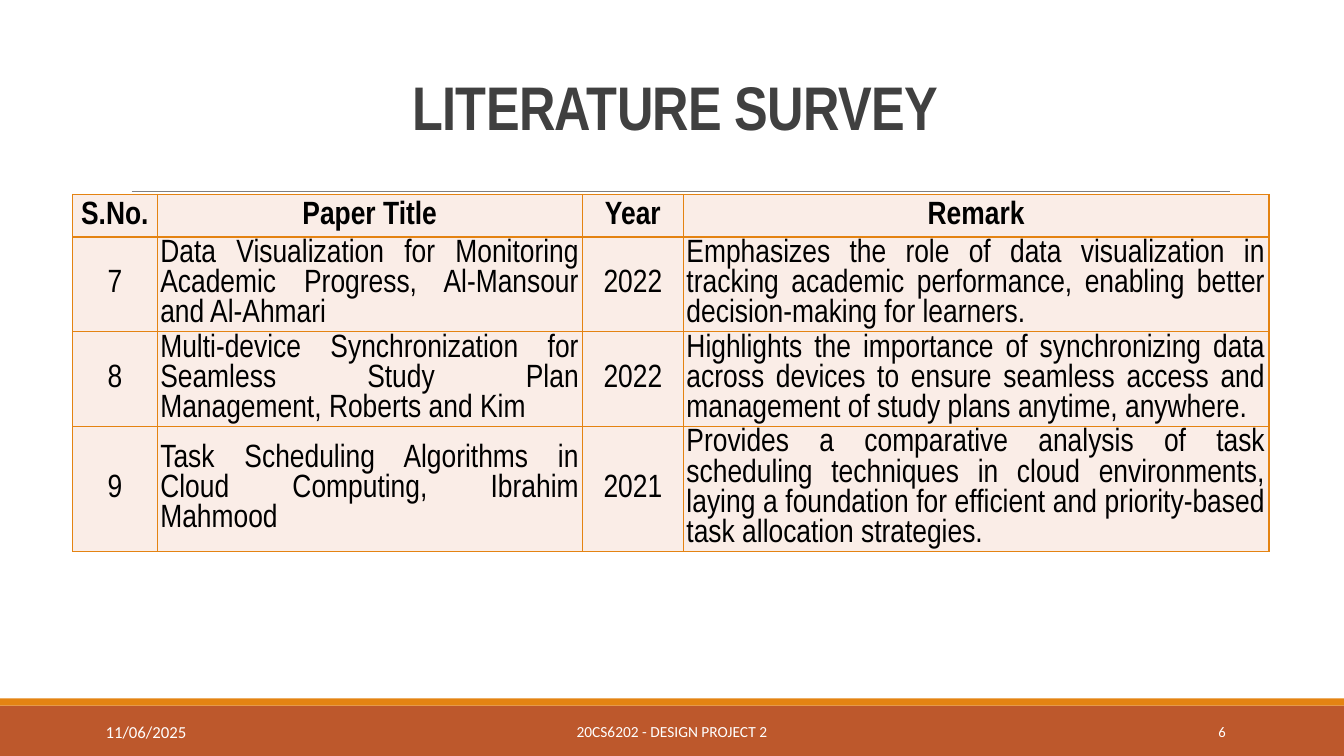
from lxml.etree import SubElement
from pptx import Presentation
from pptx.dml.color import RGBColor
from pptx.enum.shapes import MSO_CONNECTOR, MSO_SHAPE
from pptx.enum.text import MSO_ANCHOR, PP_ALIGN
from pptx.oxml.ns import qn
from pptx.util import Cm, Pt

COLORS = {
    "rust": "BD582C",
    "orange": "E48312",
    "cream": "FAEDE7",
    "rule": "808080",
    "title": "404040",
    "black": "000000",
    "white": "FFFFFF",
}


def color(name):
    return RGBColor.from_string(COLORS[name])


def format_paragraph(paragraph, font_name, size, color_name, alignment, bold=False):
    paragraph.alignment = alignment
    paragraph.font.name = font_name
    paragraph.font.size = Pt(size)
    paragraph.font.bold = bold
    paragraph.font.color.rgb = color(color_name)


presentation = Presentation()
presentation.slide_width = Cm(33.87)
presentation.slide_height = Cm(19.05)
slide = presentation.slides.add_slide(presentation.slide_layouts[5])

for top, height, fill_name in [(17.78, 1.27, "rust"), (17.6, 0.18, "orange")]:
    band = slide.shapes.add_shape(MSO_SHAPE.RECTANGLE, 0, Cm(top), Cm(33.87), Cm(height))
    band.shadow.inherit = False
    band.fill.solid()
    band.fill.fore_color.rgb = color(fill_name)
    band.line.fill.background()

title_rule = slide.shapes.add_connector(MSO_CONNECTOR.STRAIGHT, Cm(3.32), Cm(4.82), Cm(31), Cm(4.82))
title_rule.line.color.rgb = color("rule")
title_rule.line.width = Pt(0.5)
SubElement(title_rule._element.spPr, qn("a:effectLst"))

title = slide.shapes.title
title.left, title.top, title.width, title.height = Cm(3.05), Cm(0.8), Cm(27.94), Cm(4.03)
title.text_frame.text = "LITERATURE SURVEY"
title.text_frame.vertical_anchor = MSO_ANCHOR.MIDDLE
title_paragraph = title.text_frame.paragraphs[0]
title_paragraph.line_spacing = 0.85
format_paragraph(title_paragraph, "Arial Narrow", 44, "title", PP_ALIGN.CENTER, bold=True)
title_paragraph.runs[0].font._element.set("spc", "-50")

papers = [
    ("S.No.", "Paper Title", "Year", "Remark"),
    (
        "7",
        "Data Visualization for Monitoring Academic Progress, Al-Mansour and Al-Ahmari",
        "2022",
        "Emphasizes the role of data visualization in tracking academic performance, "
        "enabling better decision-making for learners.",
    ),
    (
        "8",
        "Multi-device Synchronization for Seamless Study Plan Management, Roberts and Kim",
        "2022",
        "Highlights the importance of synchronizing data across devices to ensure seamless "
        "access and management of study plans anytime, anywhere.",
    ),
    (
        "9",
        "Task Scheduling Algorithms in Cloud Computing, Ibrahim Mahmood",
        "2021",
        "Provides a comparative analysis of task scheduling techniques in cloud environments, "
        "laying a foundation for efficient and priority-based task allocation strategies.",
    ),
]
column_widths = [2.13, 10.72, 2.54, 14.76]
row_heights = [1.07, 2.37, 2.37, 3.14]

table = slide.shapes.add_table(
    len(papers), len(column_widths), Cm(1.83), Cm(4.9), Cm(sum(column_widths)), Cm(sum(row_heights))
).table
for column, width in zip(table.columns, column_widths):
    column.width = Cm(width)

for row_index, (row, height, texts) in enumerate(zip(table.rows, row_heights, papers)):
    row.height = Cm(height)
    is_header = row_index == 0
    for column_index, (cell, text) in enumerate(zip(row.cells, texts)):
        cell.text = text
        cell.vertical_anchor = MSO_ANCHOR.MIDDLE
        cell.margin_left = cell.margin_right = Cm(0.08)
        cell.margin_top = cell.margin_bottom = Cm(0.05)
        is_prose = not is_header and column_index in (1, 3)
        alignment = PP_ALIGN.JUSTIFY if is_prose else PP_ALIGN.CENTER
        paragraph = cell.text_frame.paragraphs[0]
        format_paragraph(paragraph, "Arial Narrow", 23, "black", alignment, bold=is_header)
        properties = cell._tc.get_or_add_tcPr()
        for side in ("a:lnL", "a:lnR", "a:lnT", "a:lnB"):
            border = SubElement(properties, qn(side), w=str(Pt(1)))
            border_fill = SubElement(border, qn("a:solidFill"))
            SubElement(border_fill, qn("a:srgbClr"), val=COLORS["orange"])
        cell.fill.solid()
        cell.fill.fore_color.rgb = color("cream")

footers = [
    ("20CS6202 - DESIGN PROJECT 2", 10.24, 17.93, 13.39, 1.02, 11, PP_ALIGN.CENTER),
    ("6", 27.51, 17.93, 3.63, 1.02, 10.5, PP_ALIGN.RIGHT),
    ("11/06/2025", 2.41, 18.06, 6.58, 0.76, 12, PP_ALIGN.LEFT),
]
for text, left, top, width, height, size, alignment in footers:
    footer = slide.shapes.add_textbox(Cm(left), Cm(top), Cm(width), Cm(height))
    footer.text_frame.word_wrap = True
    footer.text_frame.vertical_anchor = MSO_ANCHOR.MIDDLE
    footer.text_frame.text = text
    format_paragraph(footer.text_frame.paragraphs[0], "Calibri", size, "white", alignment)

presentation.save("out.pptx")
